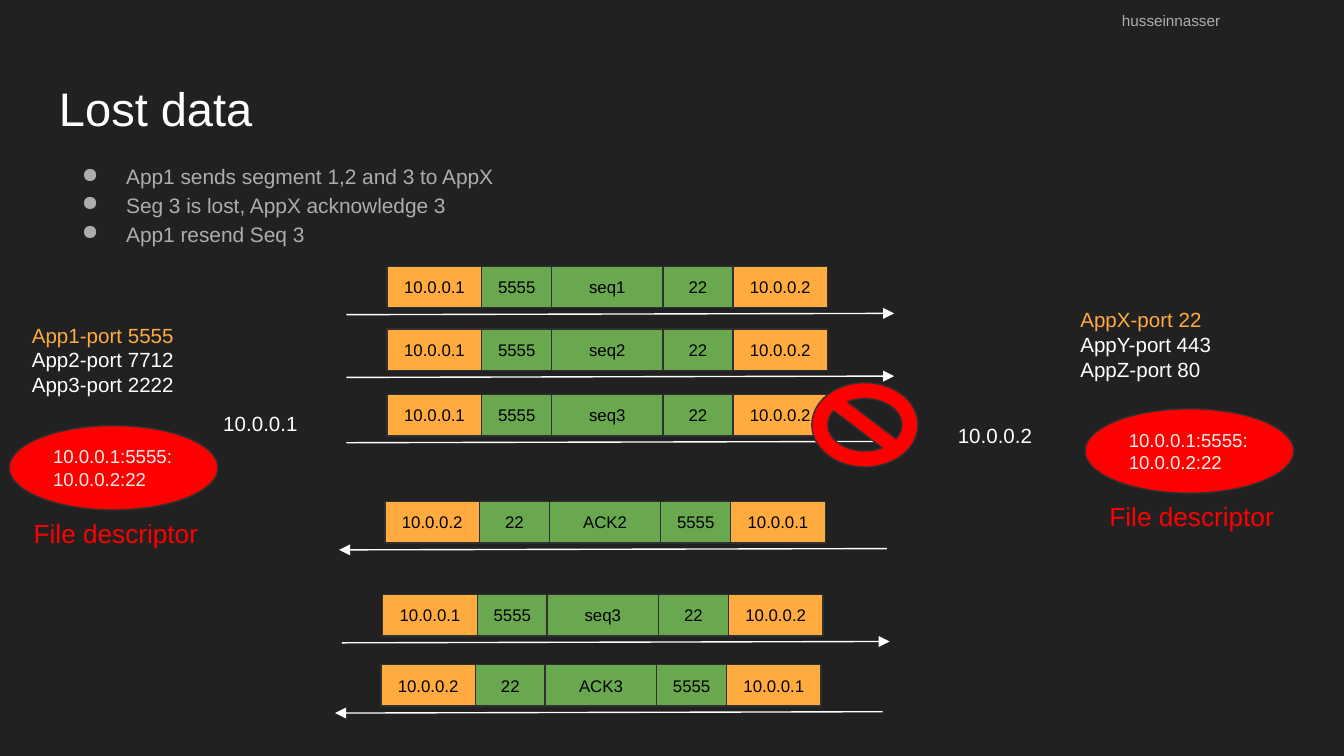
import itertools

import lxml.etree
import pptx
import pptx.dml.color
import pptx.enum.shapes
import pptx.enum.text
import pptx.oxml.ns
import pptx.util

Pt = pptx.util.Pt
SHAPES = pptx.enum.shapes.MSO_SHAPE
ANCHOR = pptx.enum.text.MSO_ANCHOR
ALIGN = pptx.enum.text.PP_ALIGN

ORANGE, GREEN, RED = "FFAB40", "6AA84F", "FF0000"
WHITE, GREY, EDGE = "FFFFFF", "ADADAD", "303030"
CELL_WIDTHS = [50.7, 37.4, 59.7, 37.4, 50.7]
CELL_FILLS = [ORANGE, GREEN, GREEN, GREEN, ORANGE]
CELL_HEIGHT = 22.3
ARROW_LENGTH = 293.4
CLIENT, SERVER = ("10.0.0.1", "5555"), ("10.0.0.2", "22")
SEGMENTS = [
    (207.4, 142.6, "seq1", True),
    (207.4, 176.2, "seq2", True),
    (207.4, 211.2, "seq3", True),
    (206.2, 268.6, "ACK2", False),
    (205, 318.4, "seq3", True),
    (204, 356, "ACK3", False),
]


def paint(target, color):
    """Give a fill or a line's fill one solid colour."""
    target.solid()
    target.fore_color.rgb = pptx.dml.color.RGBColor.from_string(color)


def add_child(parent, tag, **attributes):
    """Append a DrawingML element."""
    return lxml.etree.SubElement(parent, pptx.oxml.ns.qn(tag), attributes)


def write(shape, lines, size, colors, align=ALIGN.LEFT, anchor=ANCHOR.TOP):
    """Write one paragraph per line, the last colour serving the remaining ones."""
    frame = shape.text_frame
    frame.word_wrap = True
    frame.vertical_anchor = anchor
    frame.margin_left = frame.margin_right = Pt(7.2)
    frame.margin_top = frame.margin_bottom = Pt(7.2)
    frame.text = "\n".join(lines)
    for index, para in enumerate(frame.paragraphs):
        para.alignment = align
        for span in para.runs:
            span.font.name = "Arial"
            span.font.size = Pt(size)
            paint(span.font.fill, colors[min(index, len(colors) - 1)])
    return frame


def add_label(page, box, lines, size, *colors):
    """Add a wrapping text box."""
    label = page.shapes.add_textbox(*map(Pt, box))
    return write(label, lines, size, colors)


def add_block(page, kind, box, fill):
    """Add a flat outlined shape."""
    block = page.shapes.add_shape(kind, *map(Pt, box))
    block.shadow.inherit = False
    paint(block.fill, fill)
    paint(block.line.fill, EDGE)
    block.line.width = Pt(0.75)
    return block


def add_heading(page, left, top):
    """Place the title, the bullets and the author's name."""
    add_label(page, (left, top, 671, 45.4), ["Lost data"], 25.2, WHITE)
    points = [
        "App1 sends segment 1,2 and 3 to AppX",
        "Seg 3 is lost, AppX acknowledge 3",
        "App1 resend Seq 3",
    ]
    body = add_label(page, (left, top + 43.2, 419, 61.2), points, 11.2, GREY)
    for para in body.paragraphs:
        para.line_spacing = 1.15
        properties = para._p.get_or_add_pPr()
        properties.set("marL", str(Pt(36)))
        properties.set("indent", str(Pt(-23.76)))
        add_child(properties, "a:buChar", char="●")
    author = add_label(page, (left + 569.5, 5, 122.4, 19.4), ["husseinnasser"], 8.2, GREY)
    author.paragraphs[0].line_spacing = 0.7
    author.paragraphs[0].space_after = Pt(12)


def add_segment(page, left, top, name, outbound):
    """Draw one packet with the arrow of its direction below it."""
    source, target = (CLIENT, SERVER) if outbound else (SERVER, CLIENT)
    texts = [*source, name, *reversed(target)]
    offsets = itertools.accumulate(CELL_WIDTHS, initial=0)
    for text, offset, width, fill in zip(texts, offsets, CELL_WIDTHS, CELL_FILLS):
        cell = add_block(page, SHAPES.RECTANGLE, (left + offset, top, width, CELL_HEIGHT), fill)
        write(cell, [text], 9, ["000000"], ALIGN.CENTER, ANCHOR.MIDDLE)
    start = left - (21.8 if outbound else 24.5)
    ends = [(start, top + 26), (start + ARROW_LENGTH, top + 25.3)]
    if not outbound:
        ends.reverse()
    arrow = page.shapes.add_connector(
        pptx.enum.shapes.MSO_CONNECTOR.STRAIGHT, *map(Pt, itertools.chain(*ends))
    )
    paint(arrow.line.fill, WHITE)
    arrow.line.width = Pt(0.75)
    add_child(arrow.line._get_or_add_ln(), "a:tailEnd", type="triangle")
    add_child(arrow._element.spPr, "a:effectLst")


def add_host(page, apps_at, address_at, ellipse_at, caption_at, address, apps):
    """Place a host's applications, address and file descriptor."""
    grow = pptx.enum.text.MSO_AUTO_SIZE.SHAPE_TO_FIT_TEXT
    labels = [
        add_label(page, (*apps_at, 95.8, 81.4), apps, 11, ORANGE, WHITE),
        add_label(page, (*address_at, 70.6, 28), [address], 11, WHITE),
        add_label(page, (*caption_at, 127.4, 31.7), ["File descriptor"], 14, RED),
    ]
    for frame in labels:
        frame.auto_size = grow
    ellipse = add_block(page, SHAPES.OVAL, (*ellipse_at, 111.8, 45.2), RED)
    write(ellipse, ["10.0.0.1:5555:10.0.0.2:22"], 10, ["EEEEEE"], anchor=ANCHOR.MIDDLE)


def add_loss_sign(page, box):
    """Mark the lost segment with a prohibition sign."""
    sign = add_block(page, SHAPES.NO_SYMBOL, box, RED)
    sign.adjustments[0] = 0.19


def main():
    """Build the deck."""
    deck = pptx.Presentation()
    deck.slide_width, deck.slide_height = Pt(720), Pt(405)
    page = deck.slides.add_slide(deck.slide_layouts[6])
    paint(page.background.fill, "212121")
    add_heading(page, 24.5, 35.3)
    add_host(
        page, (10, 165.6), (112.5, 213.8), (5, 228), (11, 270), CLIENT[0],
        ["App1-port 5555", "App2-port 7712", "App3-port 2222"],
    )
    add_host(
        page, (571.7, 157.5), (506, 219.8), (581.3, 219), (587.3, 261), SERVER[0],
        ["AppX-port 22", "AppY-port 443", "AppZ-port 80"],
    )
    for segment in SEGMENTS:
        add_segment(page, *segment)
    add_loss_sign(page, (434.9, 205, 56.9, 45.2))
    deck.save("out.pptx")


if __name__ == "__main__":
    main()
